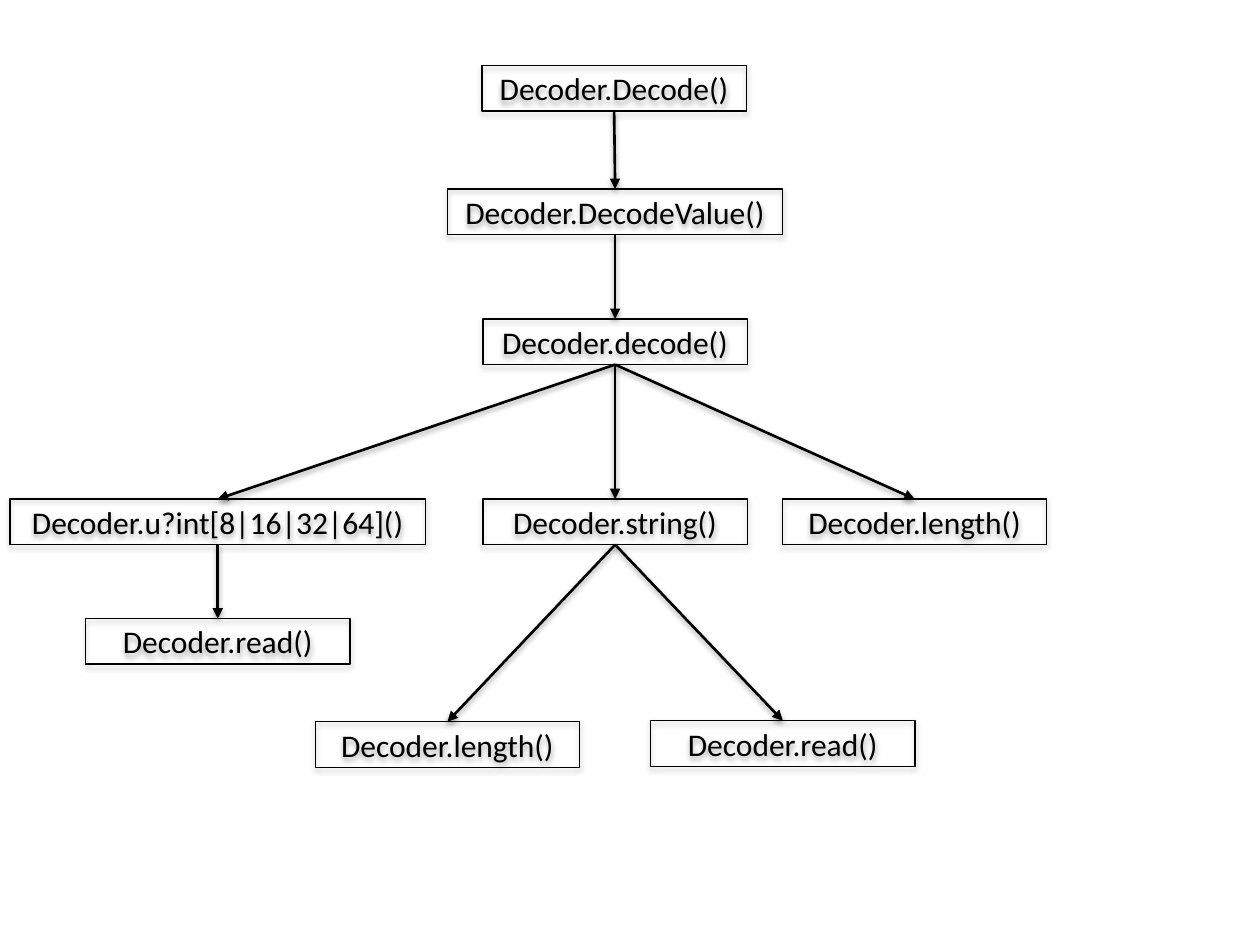
"""Build the call graph of the Decoder methods."""
from lxml.etree import SubElement
from pptx import Presentation
from pptx.dml.color import RGBColor
from pptx.enum.shapes import MSO_CONNECTOR, MSO_SHAPE
from pptx.enum.text import MSO_ANCHOR, PP_ALIGN
from pptx.oxml.ns import qn
from pptx.util import Cm, Pt

BLACK = RGBColor(0x00, 0x00, 0x00)
METHOD_HEIGHT = 0.92
METHOD_WIDTH = 5.33
LEFT_AXIS, MAIN_AXIS, RIGHT_AXIS = 4.39, 12.4, 18.44
STRING_SPREAD = 3.38
CALLEE_TOP = 10.06
TOP_SITE, BOTTOM_SITE = 0, 2

methods = {
    "value": ("Decoder.DecodeValue()", MAIN_AXIS, 3.81, 6.76),
    "decode": ("Decoder.decode()", MAIN_AXIS, 6.43, METHOD_WIDTH),
    "entry": ("Decoder.Decode()", MAIN_AXIS - 0.02, 1.32, METHOD_WIDTH),
    "int": ("Decoder.u?int[8|16|32|64]()", LEFT_AXIS, CALLEE_TOP, 8.38),
    "int read": ("Decoder.read()", LEFT_AXIS, 12.47, METHOD_WIDTH),
    "length": ("Decoder.length()", RIGHT_AXIS, CALLEE_TOP, METHOD_WIDTH),
    "string": ("Decoder.string()", MAIN_AXIS, CALLEE_TOP, METHOD_WIDTH),
    "string read": ("Decoder.read()", MAIN_AXIS + STRING_SPREAD, 14.53, METHOD_WIDTH),
    "string length": ("Decoder.length()", MAIN_AXIS - STRING_SPREAD, 14.55, METHOD_WIDTH),
}
calls = [
    ("entry", "value"),
    ("value", "decode"),
    ("decode", "int"),
    ("decode", "length"),
    ("decode", "string"),
    ("int", "int read"),
    ("string", "string length"),
    ("string", "string read"),
]

presentation = Presentation()
presentation.slide_width = Cm(25.4)
presentation.slide_height = Cm(19.05)
slide = presentation.slides.add_slide(presentation.slide_layouts[6])

nodes = {}
for key, (signature, center, top, width) in methods.items():
    node = slide.shapes.add_shape(
        MSO_SHAPE.RECTANGLE, Cm(center - width / 2), Cm(top), Cm(width), Cm(METHOD_HEIGHT)
    )
    node.fill.background()
    node.line.color.rgb = BLACK
    node.line.width = Pt(0.75)
    node.text_frame.word_wrap = True
    node.text_frame.vertical_anchor = MSO_ANCHOR.MIDDLE
    paragraph = node.text_frame.paragraphs[0]
    paragraph.alignment = PP_ALIGN.CENTER
    run = paragraph.add_run()
    run.text = signature
    run.font.name = "Calibri"
    run.font.size = Pt(18)
    run.font.color.rgb = BLACK
    nodes[key] = node

for caller, callee in calls:
    arrow = slide.shapes.add_connector(MSO_CONNECTOR.STRAIGHT, 0, 0, 0, 0)
    arrow.begin_connect(nodes[caller], BOTTOM_SITE)
    arrow.end_connect(nodes[callee], TOP_SITE)
    arrow.line.color.rgb = BLACK
    arrow.line.width = Pt(1.5)
    outline = arrow.element.spPr.find(qn("a:ln"))
    SubElement(outline, qn("a:tailEnd"), type="triangle")

presentation.save("out.pptx")
